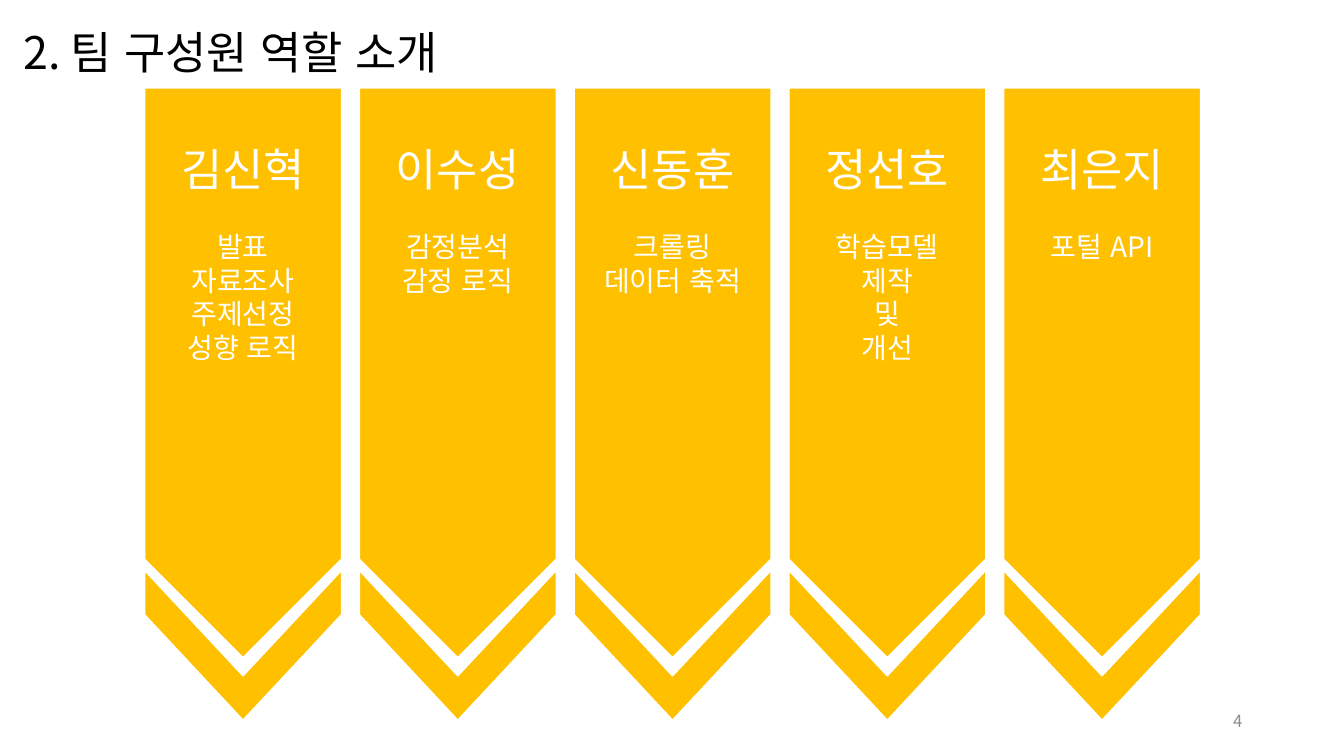
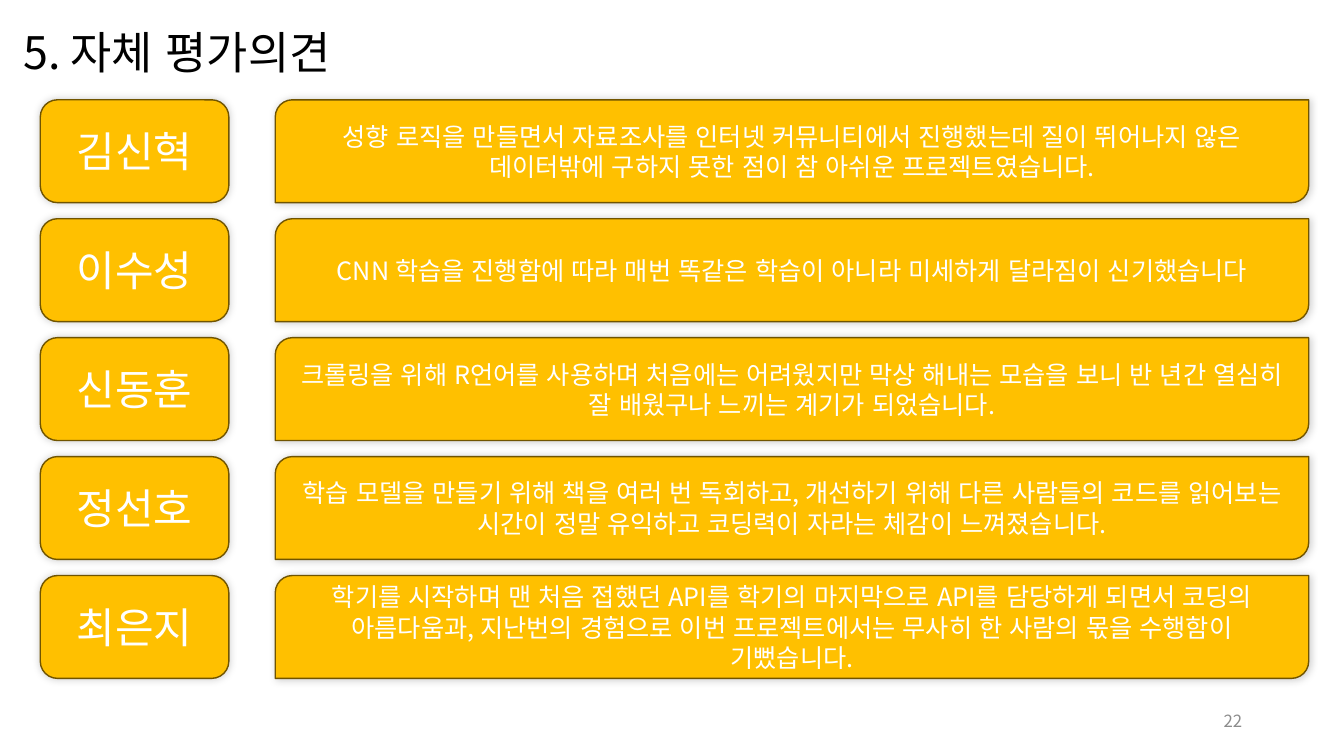
"""Build two team slides: member roles and self-evaluation."""
from dataclasses import dataclass

from lxml import etree
from pptx import Presentation
from pptx.dml.color import RGBColor
from pptx.enum.lang import MSO_LANGUAGE_ID
from pptx.enum.shapes import MSO_SHAPE
from pptx.enum.text import MSO_ANCHOR, MSO_AUTO_SIZE, PP_ALIGN
from pptx.oxml.ns import qn
from pptx.util import Inches, Pt


@dataclass(frozen=True)
class Theme:
    font: str = "Noto Sans CJK KR"
    ink: str = "000000"
    paper: str = "FFFFFF"
    gold: str = "FFC000"
    edge: str = "705400"
    muted: str = "8C8C8C"
    title: int = 32
    name: int = 30
    role: int = 20
    body: int = 18
    number: int = 12


T = Theme()

ROLES = {
    "title": "2. 팀 구성원 역할 소개",
    "number": "4",
    "members": [
        ("김신혁", ["발표", "자료조사", "주제선정", "성향 로직"]),
        ("이수성", ["감정분석", "감정 로직"]),
        ("신동훈", ["크롤링", "데이터 축적"]),
        ("정선호", ["학습모델", "제작", "및", "개선"]),
        ("최은지", ["포털 API"]),
    ],
}
REVIEWS = {
    "title": "5. 자체 평가의견",
    "number": "22",
    "members": [
        ("김신혁", "성향 로직을 만들면서 자료조사를 인터넷 커뮤니티에서 진행했는데 질이 뛰어나지 않은 "
                  "데이터밖에 구하지 못한 점이 참 아쉬운 프로젝트였습니다."),
        ("이수성", "CNN 학습을 진행함에 따라 매번 똑같은 학습이 아니라 미세하게 달라짐이 신기했습니다"),
        ("신동훈", "크롤링을 위해 R언어를 사용하며 처음에는 어려웠지만 막상 해내는 모습을 보니 반 년간 열심히 "
                  "잘 배웠구나 느끼는 계기가 되었습니다."),
        ("정선호", "학습 모델을 만들기 위해 책을 여러 번 독회하고, 개선하기 위해 다른 사람들의 코드를 읽어보는 "
                  "시간이 정말 유익하고 코딩력이 자라는 체감이 느껴졌습니다."),
        ("최은지", "학기를 시작하며 맨 처음 접했던 API를 학기의 마지막으로 API를 담당하게 되면서 코딩의 "
                  "아름다움과, 지난번의 경험으로 이번 프로젝트에서는 무사히 한 사람의 몫을 수행함이 기뻤습니다."),
    ],
}


def box(x, y, w, h):
    return [Inches(v) for v in (x, y, w, h)]


def write(tf, text, size, color=T.paper, align=PP_ALIGN.CENTER, before=0, new=False):
    p = tf.add_paragraph() if new else tf.paragraphs[0]
    p.alignment = align
    p.space_before = Pt(before)
    r = p.add_run()
    r.text = text
    r.font.size = Pt(size)
    r.font.name = T.font
    r.font.language_id = MSO_LANGUAGE_ID.KOREAN
    r.font.color.rgb = RGBColor.from_string(color)
    etree.SubElement(r.font._element, qn("a:ea"), typeface=T.font)


def add_text_box(s, place, anchor=MSO_ANCHOR.TOP):
    tf = s.shapes.add_textbox(*place).text_frame
    tf.word_wrap = True
    tf.vertical_anchor = anchor
    return tf


def add_panel(s, kind, place, line, width):
    sp = s.shapes.add_shape(kind, *place)
    sp.shadow.inherit = False
    sp.fill.solid()
    sp.fill.fore_color.rgb = RGBColor.from_string(T.gold)
    sp.line.color.rgb = RGBColor.from_string(line)
    sp.line.width = Pt(width)
    return sp


def add_down_arrow(s, kind, x, y, w, h):
    place = box(x + (w - h) / 2, y + (h - w) / 2, h, w)
    sp = add_panel(s, kind, place, T.paper, 1.5)
    sp.rotation = 90
    return sp


def add_card(s, kind, place, text, size):
    sp = add_panel(s, kind, place, T.edge, 1)
    effects = sp._element.spPr.find(qn("a:effectLst"))
    glow = etree.SubElement(effects, qn("a:outerShdw"), blurRad=str(Pt(6)), dist="0",
                            dir=str(225 * 60000), rotWithShape="0")
    black = etree.SubElement(glow, qn("a:srgbClr"), val=T.ink)
    etree.SubElement(black, qn("a:alpha"), val="20000")
    tf = sp.text_frame
    tf.word_wrap = True
    tf.vertical_anchor = MSO_ANCHOR.MIDDLE
    write(tf, text, size)


def add_slide(prs, content):
    s = prs.slides.add_slide(prs.slide_layouts[5])
    title = s.shapes.title
    title.left, title.top, title.width, title.height = box(0.13, 0.19, 5.3, 0.64)
    tf = title.text_frame
    tf.auto_size = MSO_AUTO_SIZE.NONE
    tf.vertical_anchor = MSO_ANCHOR.TOP
    write(tf, content["title"], T.title, T.ink, PP_ALIGN.LEFT)
    tf = add_text_box(s, box(9.42, 6.95, 3, 0.4), MSO_ANCHOR.MIDDLE)
    write(tf, content["number"], T.number, T.muted, PP_ALIGN.RIGHT)
    return s


def build_roles(prs):
    s = add_slide(prs, ROLES)
    left, pitch, w = 1.43, 2.13, 1.96
    for i, (name, roles) in enumerate(ROLES["members"]):
        x = left + i * pitch
        chevron = add_down_arrow(s, MSO_SHAPE.CHEVRON, x, 5.65, w, 1.5)
        chevron.adjustments[0] = 0.7
        add_down_arrow(s, MSO_SHAPE.PENTAGON, x, 0.87, w, 5.66)
        tf = add_text_box(s, box(x, 1.36, w, 2.32))
        write(tf, name, T.title)
        for j, role in enumerate(roles):
            write(tf, role, T.role, before=0 if j else 24, new=True)


def build_reviews(prs):
    s = add_slide(prs, REVIEWS)
    top, pitch, h = 0.99, 1.18, 1.02
    for i, (name, review) in enumerate(REVIEWS["members"]):
        y = top + i * pitch
        add_card(s, MSO_SHAPE.ROUNDED_RECTANGLE, box(0.4, y, 1.87, h), name, T.name)
        add_card(s, MSO_SHAPE.ROUND_2_DIAG_RECTANGLE, box(2.73, y, 10.25, h), review, T.body)


def main():
    prs = Presentation()
    prs.slide_width, prs.slide_height = Inches(13.33), Inches(7.5)
    build_roles(prs)
    build_reviews(prs)
    prs.save("out.pptx")


if __name__ == "__main__":
    main()
